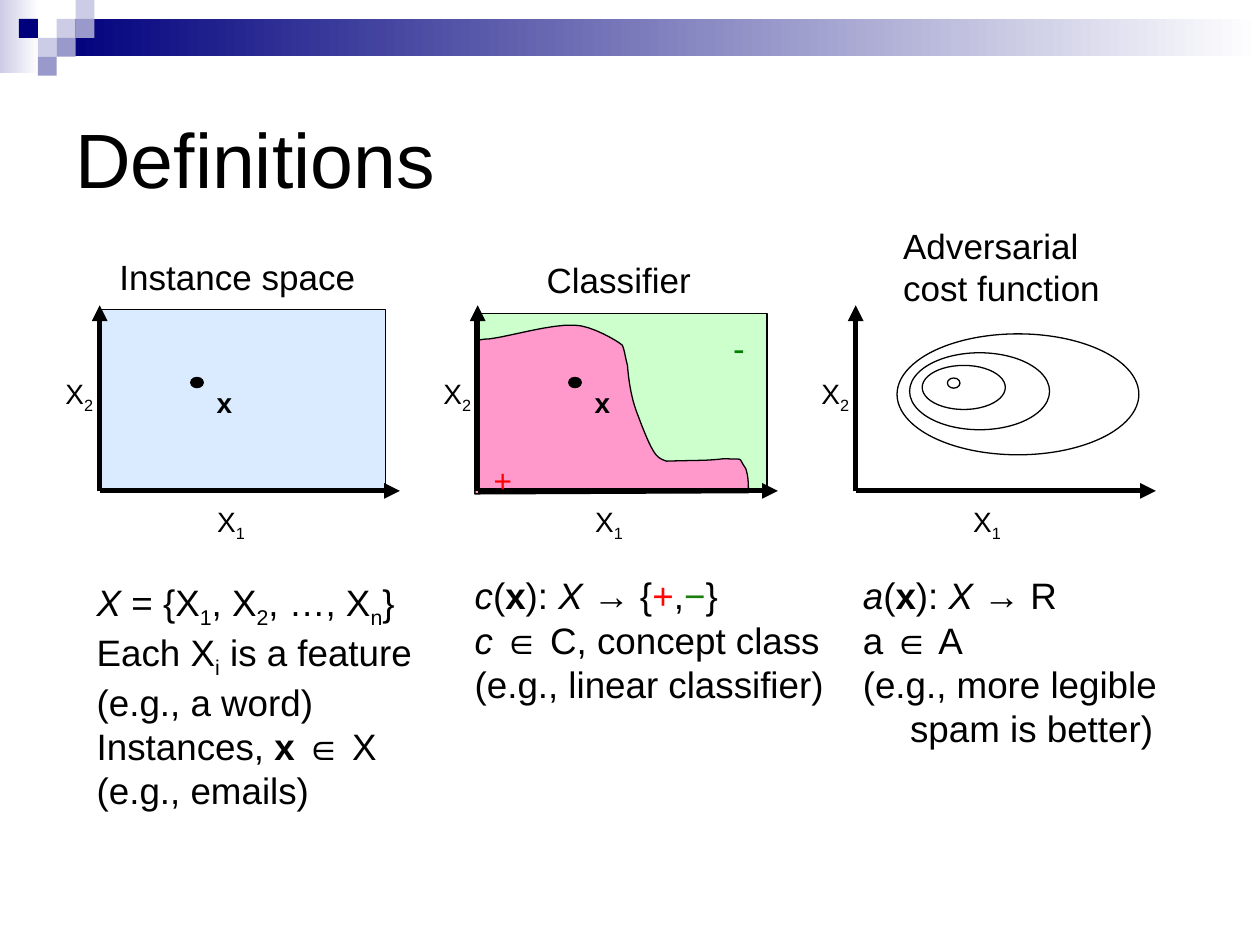
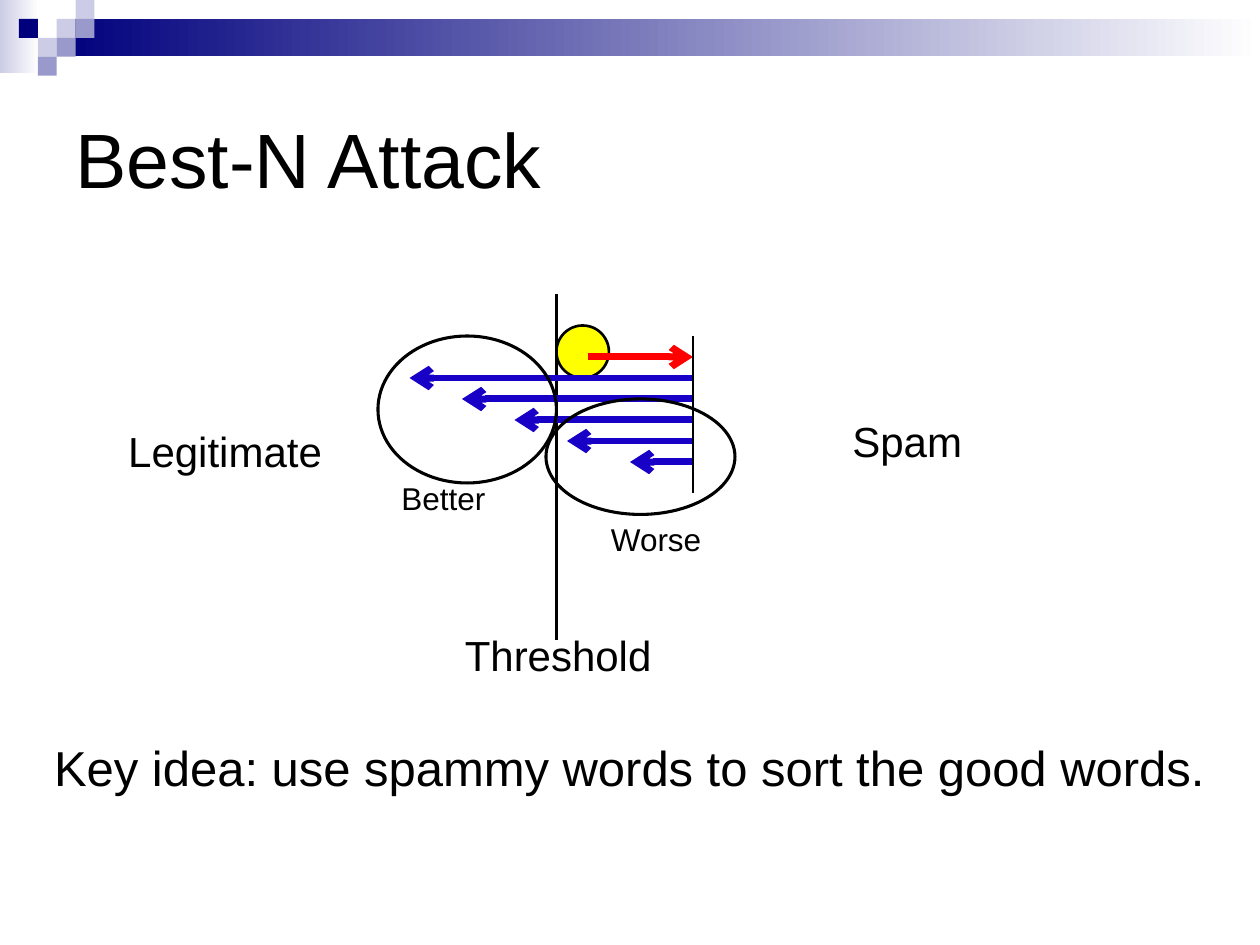
from lxml.etree import SubElement
from pptx import Presentation
from pptx.dml.color import RGBColor
from pptx.enum.shapes import MSO_CONNECTOR, MSO_SHAPE
from pptx.enum.text import MSO_ANCHOR, MSO_AUTO_SIZE
from pptx.oxml.ns import qn
from pptx.util import Pt

BLACK, NAVY, LILAC, LAVENDER = "000000", "00007D", "9999CC", "CCCCE6"
WHITE, BLUE, RED, YELLOW = "FFFFFF", "1800C6", "FF0000", "FFFF00"
SKY, MINT, PINK, GREEN = "DAEBFF", "CCFFCC", "FF99CC", "008000"
ITALIC, BOLD, SUB = {"italic": True}, {"bold": True}, {"sub": True}


def color(hex_value):
    return RGBColor.from_string(hex_value)


def bezier(start, curves, steps=8):
    points = [start]
    for c1, c2, end in curves:
        first = points[-1]
        for step in range(1, steps + 1):
            t = step / steps
            points.append(tuple(
                (1 - t) ** 3 * a + 3 * (1 - t) ** 2 * t * b + 3 * (1 - t) * t ** 2 * c + t ** 3 * d
                for a, b, c, d in zip(first, c1, c2, end)))
    return points


class Deck:
    font = "Arial"
    cell = 10.8

    def __init__(self):
        self.prs = Presentation()
        self.prs.slide_width, self.prs.slide_height = Pt(720), Pt(540)
        self.shapes = None

    def new_slide(self, title):
        self.shapes = self.prs.slides.add_slide(self.prs.slide_layouts[6]).shapes
        self.band(0, 0, 22.3, 41.8, LAVENDER)
        self.band(32.4, self.cell, 687.6, 21.3, NAVY)
        for column, row, shade in [(3, 1, LAVENDER), (4, 0, LAVENDER), (4, 1, LILAC),
                                   (2, 2, LAVENDER), (1, 1, NAVY), (3, 2, LILAC), (2, 3, LILAC)]:
            self.shape(MSO_SHAPE.RECTANGLE, column * self.cell, row * self.cell,
                       self.cell, self.cell, shade, None)
        self.text(36, 36, 648, 108, [[(title, {})]], 44, wrap=True, anchor=MSO_ANCHOR.MIDDLE)

    def paint(self, shape, fill, line, width):
        shape.shadow.inherit = False
        if fill:
            shape.fill.solid()
            shape.fill.fore_color.rgb = color(fill)
        else:
            shape.fill.background()
        if line:
            shape.line.color.rgb = color(line)
            shape.line.width = Pt(width)
        else:
            shape.line.fill.background()
        return shape

    def shape(self, kind, left, top, width, height, fill=None, line=BLACK, weight=0.75):
        shape = self.shapes.add_shape(kind, Pt(left), Pt(top), Pt(width), Pt(height))
        return self.paint(shape, fill, line, weight)

    def ellipse(self, left, top, width, height, fill=None, weight=0.75):
        self.shape(MSO_SHAPE.OVAL, left, top, width, height, fill, BLACK, weight)

    def band(self, left, top, width, height, start):
        band = self.shape(MSO_SHAPE.RECTANGLE, left, top, width, height, None, None)
        band.fill.gradient()
        band.fill.gradient_angle = 0
        for stop, position, shade in zip(band.fill.gradient_stops, (0, 1), (start, WHITE)):
            stop.position = position
            stop.color.rgb = color(shade)

    def region(self, points, fill):
        outline = [(Pt(x), Pt(y)) for x, y in points]
        builder = self.shapes.build_freeform(*outline[0])
        builder.add_line_segments(outline[1:], close=True)
        self.paint(builder.convert_to_shape(), fill, BLACK, 0.75)

    def line(self, x1, y1, x2, y2, shade=BLACK, weight=3, head=None):
        line = self.shapes.add_connector(MSO_CONNECTOR.STRAIGHT, Pt(x1), Pt(y1), Pt(x2), Pt(y2))
        line.line.color.rgb = color(shade)
        line.line.width = Pt(weight)
        if head:
            SubElement(line.line._get_or_add_ln(), qn("a:tailEnd"), type=head)
        SubElement(line._element.spPr, qn("a:effectLst"))

    def text(self, left, top, width, height, paragraphs, size, wrap=False, hanging=0,
             anchor=MSO_ANCHOR.TOP):
        frame = self.shapes.add_textbox(Pt(left), Pt(top), Pt(width), Pt(height)).text_frame
        frame.word_wrap = wrap
        frame.auto_size = MSO_AUTO_SIZE.NONE if wrap else MSO_AUTO_SIZE.SHAPE_TO_FIT_TEXT
        frame.vertical_anchor = anchor
        for index, runs in enumerate(paragraphs):
            paragraph = frame.paragraphs[0] if index == 0 else frame.add_paragraph()
            if hanging:
                properties = paragraph._p.get_or_add_pPr()
                properties.set("marL", str(Pt(hanging)))
                properties.set("indent", str(-Pt(hanging)))
            for words, style in runs:
                run = paragraph.add_run()
                run.text = words
                run.font.name, run.font.size = self.font, Pt(size)
                run.font.bold = style.get("bold", False)
                run.font.italic = style.get("italic", False)
                run.font.color.rgb = color(style.get("color", BLACK))
                if "sub" in style:
                    run._r.get_or_add_rPr().set("baseline", "-25000")

    def label(self, left, top, width, height, words, size, **style):
        self.text(left, top, width, height, [[(words, style)]], size)

    def notes(self, left, top, width, paragraphs):
        self.text(left, top, width, 158.4, paragraphs, 21, wrap=True, hanging=27)

    def axes(self, x, y):
        self.line(x, y, x, y - 106, head="triangle")
        self.line(x, y, x + 171.5, y, head="triangle")
        for index, dx, dy in [("1", 60, 4), ("2", -26.7, -68.6)]:
            self.text(x + dx, y + dy, 30.4, 29.5, [[("X", {}), (index, SUB)]], 16)

    def instance(self, x, y):
        self.label(x + 59.7, y - 63.8, 23.3, 26.6, "x", 16, bold=True)
        self.ellipse(x + 52, y - 64.8, 7.2, 5.8, BLACK)


def definitions(deck):
    deck.new_slide("Definitions")
    space_x, classifier_x, cost_x = (57 + 216 * i for i in range(3))
    base = 280.5

    deck.shape(MSO_SHAPE.RECTANGLE, 57.6, 177, 162.7, 102.4, SKY)
    deck.axes(space_x, base)
    deck.instance(space_x, base)

    deck.shape(MSO_SHAPE.RECTANGLE, 271.4, 179.3, 167, 102.2, MINT)
    boundary = bezier((271.4, 282.2), [
        ((272.2, 253.4), (271.4, 223.9), (272.2, 195.1)),
        ((272.2, 194.4), (276.5, 193.7), (279.4, 193.7)),
        ((291.6, 192.2), (315.4, 185), (328.3, 185.8)),
        ((337.7, 185.8), (353.5, 195.1), (355.7, 197.3)),
        ((357.1, 200.9), (357.1, 203), (358.6, 208.8)),
        ((359.3, 217.4), (360.7, 226.8), (363.6, 234.7)),
        ((366.5, 242.6), (370.1, 252), (373, 257)),
        ((375.1, 260.6), (376.6, 262.1), (380.9, 263.5)),
        ((401.8, 262.8), (401, 263.5), (414, 262.1)),
        ((426.2, 262.8), (421.2, 260.6), (426.2, 267.8)),
        ((427.7, 272.2), (427.7, 276.5), (427.7, 281.5)),
    ])
    deck.region(boundary, PINK)
    deck.axes(classifier_x, base)
    deck.instance(classifier_x, base)
    deck.label(275, 260, 24.5, 28.8, "+", 18, color=RED)
    deck.label(411.8, 182.9, 20.9, 31.7, "-", 20, color=GREEN)

    deck.axes(cost_x, base)
    for contour in [(541.4, 216, 7.2, 5.8), (527, 208.8, 47.5, 25.2),
                    (519.8, 201.6, 80, 44), (512.6, 190.8, 138.2, 69.1)]:
        deck.ellipse(*contour)

    deck.label(61.2, 142.6, 149, 31.7, "Instance space", 20)
    deck.label(305.3, 144, 97.2, 31.7, "Classifier", 20)
    deck.text(509, 124.6, 150.5, 55.4, [[("Adversarial cost function", {})]], 20, wrap=True)

    deck.notes(48.2, 327.6, 198, [
        [("X", ITALIC), (" = {X", {}), ("1", SUB), (", X", {}), ("2", SUB),
         (", …, X", {}), ("n", SUB), ("}", {})],
        [("Each X", {}), ("i", SUB), (" is a feature", {})],
        [("(e.g., a word)", {})],
        [("Instances, ", {}), ("x ", BOLD), ("∈ X", {})],
        [("(e.g., emails)", {})],
    ])
    mapping = [("(", {}), ("x", BOLD), ("): ", {}), ("X ", ITALIC)]
    deck.notes(264.2, 324, 216, [
        [("c", ITALIC), *mapping, ("→ {", {}), ("+", {"color": "FD0700"}), (",", {}),
         ("−", {"color": "1A7D0E"}), ("}", {})],
        [("c ", ITALIC), ("∈ C, concept class", {})],
        [("(e.g., linear classifier)", {})],
    ])
    deck.notes(486, 324, 216, [
        [("a", ITALIC), *mapping, ("→ R", {})],
        [("a ∈ A", {})],
        [("(e.g., more legible spam is better)", {})],
    ])


def best_n_attack(deck):
    deck.new_slide("Best-N Attack")
    threshold_x, spammy_x = 318, 396
    deck.text(23.8, 417.6, 675.4, 44.6,
              [[("Key idea: use spammy words to sort the good words.", {})]], 28,
              wrap=True, hanging=27)
    deck.line(threshold_x, 168, threshold_x, 366, weight=2)
    deck.ellipse(threshold_x, 186, 30, 30, YELLOW, 1.5)
    for row, good_word_x in enumerate([234, 264, 294, 324, 360]):
        y = 216 + 12 * row
        deck.line(spammy_x, y, good_word_x, y, BLUE, 4, "arrow")
    deck.line(336, 204, spammy_x, 204, RED, 4, "arrow")
    deck.line(spammy_x, 192, spammy_x, 282, weight=1.5)
    deck.ellipse(216, 192, 102, 84, weight=1.75)
    deck.ellipse(312, 228, 108, 66, weight=1.75)
    for left, top, width, height, words, size in [
            (258.5, 356.4, 121, 36, "Threshold", 24), (66.2, 239.8, 125.3, 36, "Legitimate", 24),
            (480, 234, 77, 36, "Spam", 24), (222.3, 270, 62.6, 28.8, "Better", 18),
            (342, 293.8, 66.2, 28.8, "Worse", 18)]:
        deck.label(left, top, width, height, words, size)


def main():
    deck = Deck()
    definitions(deck)
    best_n_attack(deck)
    deck.prs.save("out.pptx")


if __name__ == "__main__":
    main()
